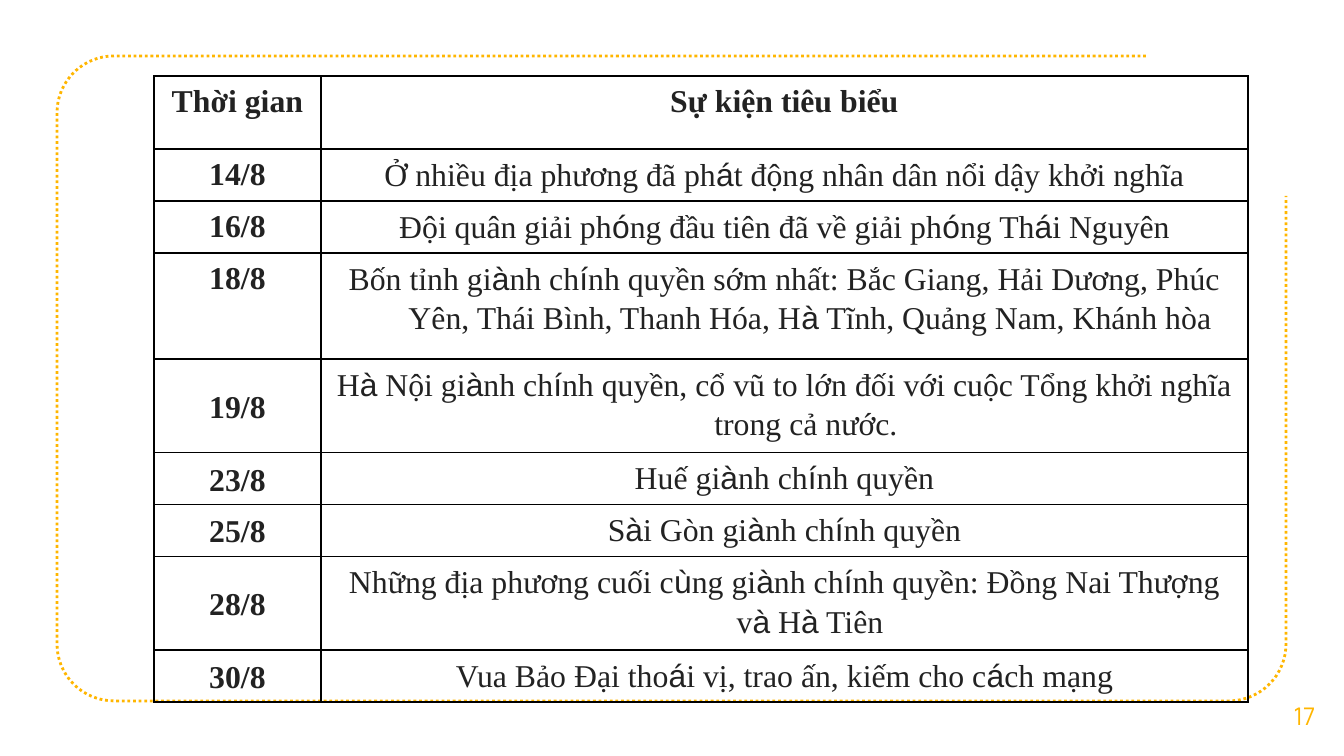
from math import cos, radians, sin
from typing import NamedTuple

from lxml.etree import SubElement
from pptx import Presentation
from pptx.dml.color import RGBColor
from pptx.enum.dml import MSO_LINE
from pptx.enum.text import MSO_ANCHOR, PP_ALIGN
from pptx.oxml import parse_xml
from pptx.oxml.ns import nsdecls, qn
from pptx.util import Pt

EMU_PER_PX = 914400 / 134.4
COLORS = {"accent": "FFB600", "text": "222222", "border": "000000"}
BODY_FONT, ACCENT_FONT = "Times New Roman", "Arial"
HANGING_INDENT = 51
COLUMN_WIDTHS = (167, 927)


class Corner(NamedTuple):
    center_x: int
    center_y: int
    start_angle: int


class Event(NamedTuple):
    """A table row; letters between bars are set in the accent font."""
    date: str
    description: str
    height: int
    date_anchor: MSO_ANCHOR = MSO_ANCHOR.MIDDLE
    bold: bool = False


CORNERS = (Corner(114, 113, 270), Corner(114, 644, 180), Corner(1229, 644, 90))

EVENTS = (
    Event("Thời gian", "Sự kiện tiêu biểu", 73, MSO_ANCHOR.TOP, True),
    Event("14/8", "Ở nhiều địa phương đã ph|á|t động nhân dân nổi dậy khởi nghĩa", 46, MSO_ANCHOR.TOP),
    Event("16/8", "Đội quân giải ph|ó|ng đầu tiên đã về giải ph|ó|ng Th|á|i Nguyên", 45, MSO_ANCHOR.TOP),
    Event("18/8", "Bốn tỉnh gi|à|nh ch|í|nh quyền sớm nhất: Bắc Giang, Hải Dương, Phúc Yên, "
          "Thái Bình, Thanh Hóa, H|à| Tĩnh, Quảng Nam, Khánh hòa", 106, MSO_ANCHOR.TOP),
    Event("19/8", "H|à| Nội gi|à|nh ch|í|nh quyền, cổ vũ to lớn đối với cuộc Tổng khởi nghĩa "
          "trong cả nước. ", 83),
    Event("23/8", "Huế gi|à|nh ch|í|nh quyền", 45),
    Event("25/8", "S|à|i Gòn gi|à|nh ch|í|nh quyền", 45),
    Event("28/8", "Những địa phương cuối c|ù|ng gi|à|nh ch|í|nh quyền: Đồng Nai Thượng "
          "v|à| H|à| Tiên", 83),
    Event("30/8", "Vua Bảo Đại tho|á|i vị, trao ấn, kiếm cho c|á|ch mạng", 45),
)


def px(length: float) -> int:
    return round(length * EMU_PER_PX)


def set_attributes(target, values: dict) -> None:
    for name, value in values.items():
        setattr(target, name, value)


def format_font(font, name: str, size: int, color: str, bold: bool = False) -> None:
    set_attributes(font, {"name": name, "size": Pt(size), "bold": bold})
    font.color.rgb = RGBColor.from_string(COLORS[color])


def draw_frame(slide, radius: int = 57, steps: int = 16) -> None:
    """Dotted open outline with three rounded corners."""
    points = []
    for corner in CORNERS:
        for step in range(steps + 1):
            angle = radians(corner.start_angle - 90 * step / steps)
            points.append((px(corner.center_x + radius * cos(angle)),
                           px(corner.center_y + radius * sin(angle))))
    points.append((px(1286), px(196)))
    builder = slide.shapes.build_freeform(px(1146), px(56))
    builder.add_line_segments(points, close=False)
    frame = builder.convert_to_shape()
    frame.shadow.inherit = False
    frame.fill.background()
    frame.line.color.rgb = RGBColor.from_string(COLORS["accent"])
    set_attributes(frame.line, {"width": Pt(1.5), "dash_style": MSO_LINE.ROUND_DOT})


def draw_slide_number(slide, number: str) -> None:
    box = slide.shapes.add_textbox(px(1265), px(675), px(79), px(81))
    margins = {f"margin_{side}": px(13) for side in ("left", "right", "top", "bottom")}
    set_attributes(box.text_frame, {
        "word_wrap": True, "vertical_anchor": MSO_ANCHOR.MIDDLE, **margins})
    paragraph = box.text_frame.paragraphs[0]
    paragraph.alignment = PP_ALIGN.CENTER
    run = paragraph.add_run()
    run.text = number
    format_font(run.font, "Manrope", 13, "accent")


def add_borders(cell) -> None:
    properties = cell._tc.get_or_add_tcPr()
    for index, side in enumerate("LRTB"):
        line = parse_xml(f'<a:ln{side} {nsdecls("a")} w="{Pt(1)}"/>')
        fill = SubElement(line, qn("a:solidFill"))
        SubElement(fill, qn("a:srgbClr"), val=COLORS["border"])
        properties.insert(index, line)


def fill_cell(cell, text: str, bold: bool, anchor: MSO_ANCHOR) -> None:
    set_attributes(cell, {
        "margin_left": px(10), "margin_right": px(10),
        "margin_top": px(5), "margin_bottom": px(5), "vertical_anchor": anchor})
    cell.fill.background()
    add_borders(cell)
    paragraph = cell.text_frame.paragraphs[0]
    set_attributes(paragraph, {"alignment": PP_ALIGN.CENTER, "line_spacing": 1.1})
    indent = px(HANGING_INDENT)
    paragraph_properties = paragraph._p.get_or_add_pPr()
    paragraph_properties.set("marL", str(indent))
    paragraph_properties.set("indent", str(-indent))
    for index, part in enumerate(text.split("|")):
        run = paragraph.add_run()
        run.text = part
        format_font(run.font, ACCENT_FONT if index % 2 else BODY_FONT, 17, "text", bold)


def draw_event_table(slide) -> None:
    graphic_frame = slide.shapes.add_table(
        len(EVENTS), len(COLUMN_WIDTHS), px(154), px(76), px(sum(COLUMN_WIDTHS)), px(626))
    table = graphic_frame.table
    set_attributes(table, {"first_row": False, "horz_banding": False})
    for column, width in zip(table.columns, COLUMN_WIDTHS):
        column.width = px(width)
    for index, event in enumerate(EVENTS):
        table.rows[index].height = px(event.height)
        fill_cell(table.cell(index, 0), event.date, True, event.date_anchor)
        fill_cell(table.cell(index, 1), event.description, event.bold, MSO_ANCHOR.TOP)


def main() -> None:
    presentation = Presentation()
    set_attributes(presentation, {"slide_width": px(1344), "slide_height": px(756)})
    slide = presentation.slides.add_slide(presentation.slide_layouts[6])
    draw_frame(slide)
    draw_slide_number(slide, "17")
    draw_event_table(slide)
    presentation.save("out.pptx")


if __name__ == "__main__":
    main()
